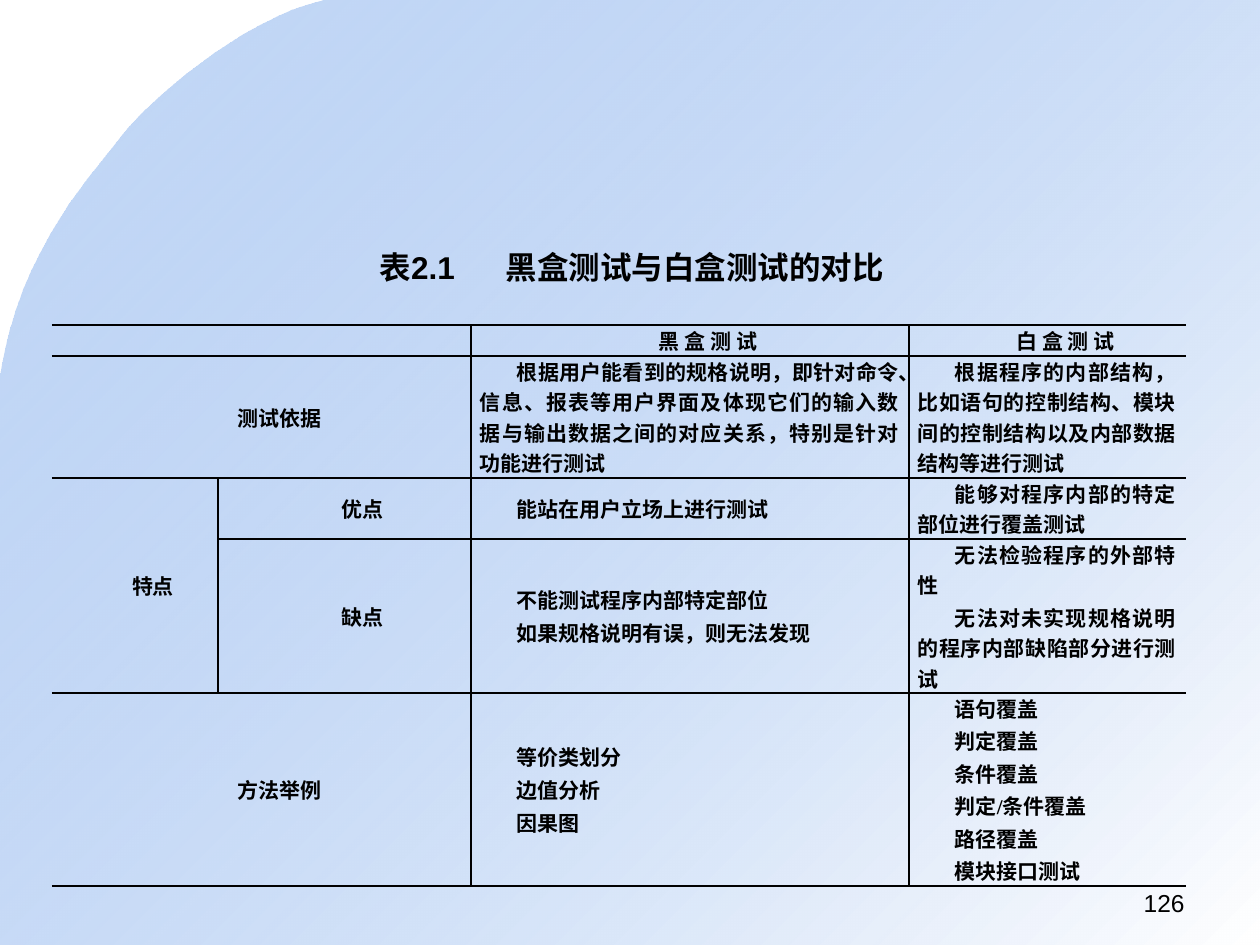
"""Builds a slide with a table comparing black-box and white-box testing."""
from lxml import etree
from pptx import Presentation
from pptx import util as u
from pptx.dml.color import RGBColor
from pptx.enum import text
from pptx.oxml import ns

COLORS = {"ink": "000000", "sky": "699DE9", "white": "FFFFFF"}
COLUMNS = [166, 253, 438, 277]
ROWS = [31, 122, 61, 154, 193]
MERGES = {(0, 0): (1, 2), (1, 0): (1, 2), (2, 0): (2, 1), (4, 0): (1, 2)}
CURVES = [
    [(325, 0), (239, 20), (146, 105), (123, 135)],
    [(123, 135), (101, 166), (20, 244), (0, 379)],
]
CELLS = [
    ["", "", "黑 盒 测 试", "白 盒 测 试"],
    ["测试依据", "",
     "根据用户能看到的规格说明，即针对命令、信息、报表等用户界面及体现它们的输入数据与输出数据之间的对应关系，特别是针对功能进行测试",
     "根据程序的内部结构，比如语句的控制结构、模块间的控制结构以及内部数据结构等进行测试"],
    ["特点", "优点", "能站在用户立场上进行测试", "能够对程序内部的特定部位进行覆盖测试"],
    ["", "缺点", "不能测试程序内部特定部位\n如果规格说明有误，则无法发现",
     "无法检验程序的外部特性\n无法对未实现规格说明的程序内部缺陷部分进行测试"],
    ["方法举例", "", "等价类划分\n边值分析\n因果图",
     "语句覆盖\n判定覆盖\n条件覆盖\n判定/条件覆盖\n路径覆盖\n模块接口测试"],
]


def px(length):
    return u.Inches(length / 126)


def color(name):
    return RGBColor.from_string(COLORS[name])


def curve_points(curve, steps=16):
    for step in range(steps + 1):
        t = step / steps
        weights = [(1 - t) ** 3, 3 * t * (1 - t) ** 2, 3 * t * t * (1 - t), t ** 3]
        yield tuple(px(sum(w * point[axis] for w, point in zip(weights, curve)))
                    for axis in (0, 1))


class SlideBuilder:
    def __init__(self, slide):
        self.slide = slide
        self.shapes = slide.shapes

    def style(self, paragraph, size, font="Arial", bold=False, align=text.PP_ALIGN.LEFT):
        paragraph.alignment = align
        paragraph.font.size = u.Pt(size)
        paragraph.font.name = font
        paragraph.font.bold = bold
        paragraph.font.color.rgb = color("ink")

    def place(self, shape, left, top, width, height):
        shape.left, shape.top, shape.width, shape.height = map(px, (left, top, width, height))

    def backdrop(self):
        points = [point for curve in CURVES for point in curve_points(curve)]
        points += [(px(x), px(y)) for x, y in [(0, 945), (1260, 945), (1260, 0)]]
        builder = self.shapes.build_freeform(*points[0])
        builder.add_line_segments(points[1:], close=True)
        shape = builder.convert_to_shape()
        shape.shadow.inherit = False
        shape.line.fill.background()
        shape.fill.gradient()
        shape.fill.gradient_angle = 315
        for stop, name in zip(shape.fill.gradient_stops, ("sky", "white")):
            stop.color.rgb = color(name)
        first_color = next(shape._element.iter(ns.qn("a:srgbClr")))
        etree.SubElement(first_color, ns.qn("a:alpha"), val="39000")
        self.shapes._spTree.insert(2, shape._element)

    def title(self, words, *box):
        title = self.shapes.title
        self.place(title, *box)
        frame = title.text_frame
        frame.text = words
        frame.word_wrap = False
        frame.auto_size = text.MSO_AUTO_SIZE.SHAPE_TO_FIT_TEXT
        frame.vertical_anchor = text.MSO_ANCHOR.TOP
        self.style(frame.paragraphs[0], 18, bold=True)

    def page_number(self, words, *box):
        frame = self.shapes.add_textbox(*map(px, box)).text_frame
        frame.word_wrap = True
        frame.text = words
        self.style(frame.paragraphs[0], 14, align=text.PP_ALIGN.RIGHT)

    def borders(self, cell, sides):
        properties = cell._tc.get_or_add_tcPr()
        for index, side in enumerate("LRTB"):
            line = etree.Element(ns.qn(f"a:ln{side}"), w=str(u.Pt(1)))
            if side in sides:
                fill = etree.SubElement(line, ns.qn("a:solidFill"))
                etree.SubElement(fill, ns.qn("a:srgbClr"), val=COLORS["ink"])
            else:
                etree.SubElement(line, ns.qn("a:noFill"))
            properties.insert(index, line)

    def cell(self, cell, words, row, column):
        cell.text = words
        cell.fill.background()
        cell.vertical_anchor = text.MSO_ANCHOR.MIDDLE
        cell.margin_left, cell.margin_right = px(9), px(10)
        cell.margin_top = cell.margin_bottom = 0
        centred = row == 0 or column < 2
        align = text.PP_ALIGN.CENTER if centred else text.PP_ALIGN.JUSTIFY
        for paragraph in cell.text_frame.paragraphs:
            paragraph.space_before = paragraph.space_after = u.Pt(0.6 if row else 1.2)
            paragraph._p.get_or_add_pPr().set("indent", str(px(37)))
            self.style(paragraph, 12, "Times New Roman", True, align)
        cell.text_frame.paragraphs[0].space_before = u.Pt(0)

    def table(self, left, top):
        box = map(px, (left, top, sum(COLUMNS), sum(ROWS)))
        table = self.shapes.add_table(len(ROWS), len(COLUMNS), *box).table
        table.first_row = table.horz_banding = False
        for column, width in zip(table.columns, COLUMNS):
            column.width = px(width)
        for row, height in zip(table.rows, ROWS):
            row.height = px(height)
        for r, words in enumerate(CELLS):
            for c, entry in enumerate(words):
                self.cell(table.cell(r, c), entry, r, c)
        for (r, c), (height, width) in MERGES.items():
            table.cell(r, c).merge(table.cell(r + height - 1, c + width - 1))
        for r in range(len(ROWS)):
            for c in range(len(COLUMNS)):
                if not table.cell(r, c).is_spanned:
                    self.block_borders(table, r, c, *MERGES.get((r, c), (1, 1)))

    def block_borders(self, table, top, left, height, width):
        bottom, right = top + height - 1, left + width - 1
        for r in range(top, bottom + 1):
            for c in range(left, right + 1):
                edges = {"L": c == left and c > 0,
                         "R": c == right and c < len(COLUMNS) - 1,
                         "T": r == top, "B": r == bottom}
                self.borders(table.cell(r, c), [side for side, drawn in edges.items() if drawn])


def main():
    presentation = Presentation()
    presentation.slide_width, presentation.slide_height = px(1260), px(945)
    builder = SlideBuilder(presentation.slides.add_slide(presentation.slide_layouts[5]))
    builder.backdrop()
    builder.table(52, 325)
    builder.title("表2.1\t黑盒测试与白盒测试的对比", 367, 242, 534, 50)
    builder.page_number("126", 903, 882, 294, 44)
    presentation.save("out.pptx")


if __name__ == "__main__":
    main()
